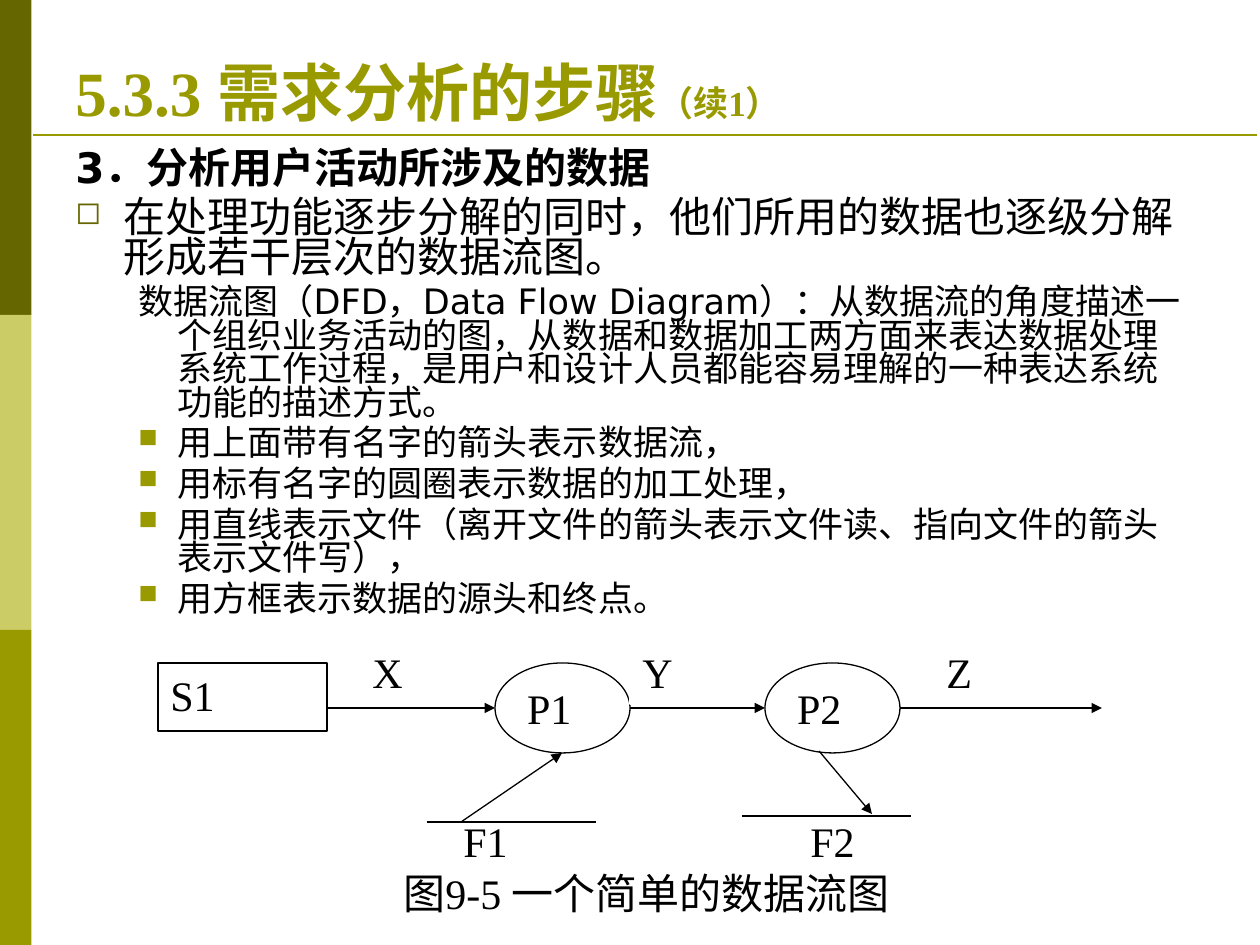
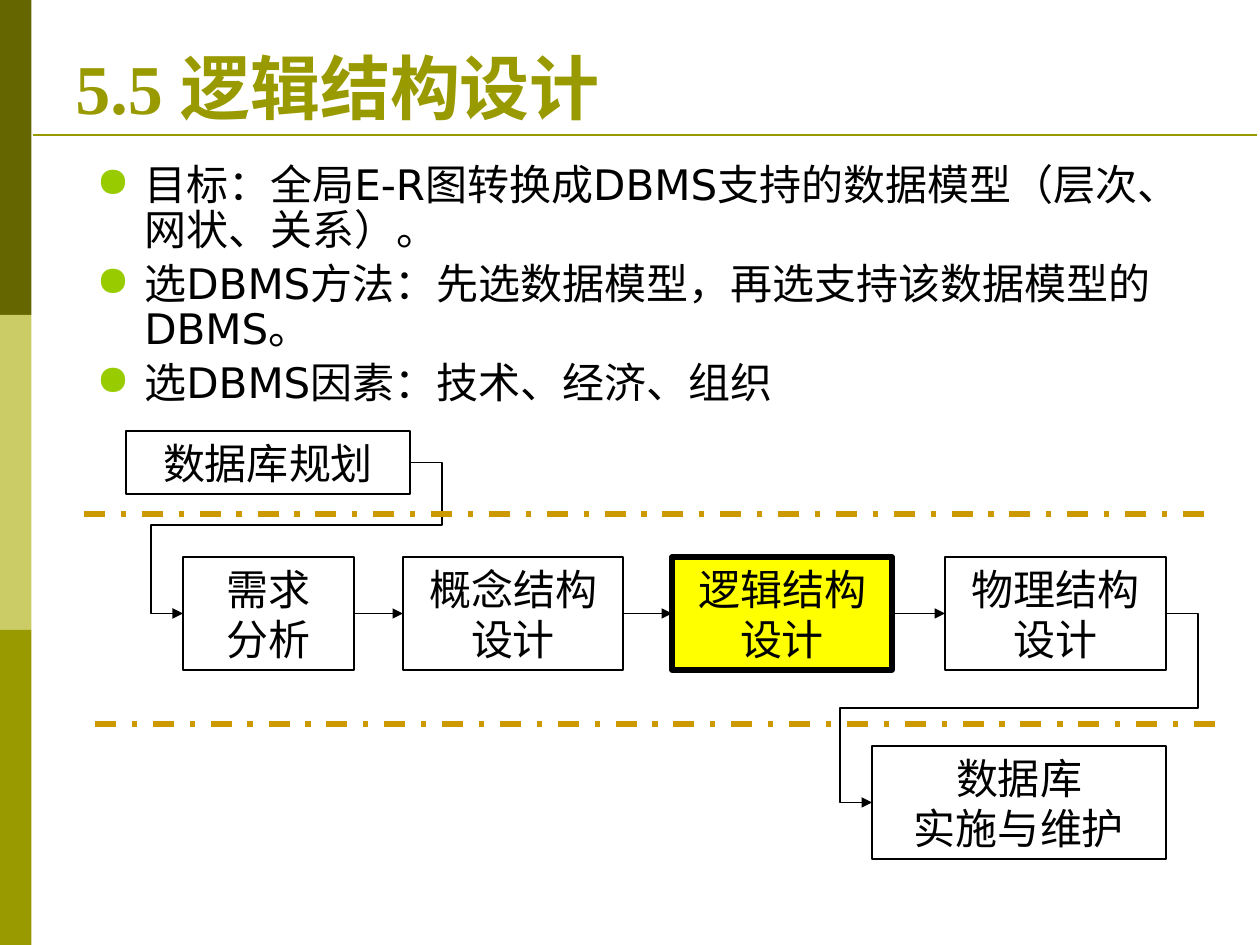
from dataclasses import dataclass

from lxml import etree
from pptx import Presentation
from pptx.dml.color import RGBColor
from pptx.enum import dml, shapes, text
from pptx.oxml import ns
from pptx.util import Emu, Pt

PX = 914400 / 126
SLIDE_SIZE = (1260, 945)


@dataclass(frozen=True)
class Theme:
    serif: str = "Times New Roman"
    sans: str = "DejaVu Sans"
    olive: str = "999900"
    dark_olive: str = "666600"
    pale_olive: str = "CCCC66"
    lime: str = "99CC00"
    ochre: str = "CC9900"
    yellow: str = "FFFF00"
    black: str = "000000"
    white: str = "FFFFFF"
    large: int = 24
    small: int = 20
    thin: float = 0.75
    rule: float = 1.5
    thick: float = 3


THEME = Theme()
BANDS = [THEME.dark_olive, THEME.pale_olive, THEME.olive]
BAND_WIDTH = 31.5
TITLE_BOX = (63, 38, 1134, 97)
TITLE_RULE = ((33, 135), (1257, 135))

STEPS_TITLE = [("5.3.3 需求分析的步骤", 36), ("（续1）", 20)]
STEPS_BOX = (63, 145, 1134, 714)
HEADING = dict(size=THEME.large, spacing=0.8, bold=True)
POINT = dict(size=THEME.large, spacing=0.8, margin=48, hanging=48,
             bullet="◻", bullet_color=THEME.dark_olive, bullet_size=75)
DEFINITION = dict(size=THEME.small, spacing=0.8, margin=102, hanging=39)
SUBPOINT = dict(DEFINITION, bullet="■", bullet_color=THEME.olive, bullet_size=75)
STEPS_BODY = [
    ("3．分析用户活动所涉及的数据", HEADING),
    ("在处理功能逐步分解的同时，他们所用的数据也逐级分解形成若干层次的数据流图。", POINT),
    ("数据流图（DFD，Data Flow Diagram）：从数据流的角度描述一个组织业务活动的图，"
     "从数据和数据加工两方面来表达数据处理系统工作过程，"
     "是用户和设计人员都能容易理解的一种表达系统功能的描述方式。", DEFINITION),
    ("用上面带有名字的箭头表示数据流，", SUBPOINT),
    ("用标有名字的圆圈表示数据的加工处理，", SUBPOINT),
    ("用直线表示文件（离开文件的箭头表示文件读、指向文件的箭头表示文件写），", SUBPOINT),
    ("用方框表示数据的源头和终点。", SUBPOINT),
]

RECTANGLE = shapes.MSO_SHAPE.RECTANGLE
OVAL = shapes.MSO_SHAPE.OVAL
JUSTIFY = text.PP_ALIGN.JUSTIFY
CENTER = text.PP_ALIGN.CENTER
DFD_NODES = [
    ("S1", RECTANGLE, (158, 663, 169, 68)),
    ("P1", OVAL, (495, 663, 135, 90)),
    ("P2", OVAL, (765, 663, 135, 90)),
]
FILE_LINES = [((427, 822), (596, 822)), ((742, 816), (911, 816))]
DATA_FLOWS = [
    ((461, 822), (562, 753)),
    ((327, 708), (495, 708)),
    ((630, 708), (765, 708)),
    ((900, 708), (1102, 708)),
    ((819, 751), (872, 814)),
]
FLOW_LABELS = [
    ("X", (360, 640, 101, 62), THEME.white),
    ("Y", (630, 640, 101, 64), None),
    ("Z", (934, 640, 101, 57), THEME.white),
]
FILE_LABELS = [("F1", (451, 809, 102, 66)), ("F2", (798, 809, 102, 66))]
CAPTION = ("图9-5 一个简单的数据流图", (375, 861, 543, 63))

DESIGN_TITLE = [("5.5 逻辑结构设计", 40)]
DESIGN_BOX = (84, 158, 1134, 315)
GOAL = dict(size=THEME.large, spacing=0.9, margin=48, hanging=48,
            bullet="●", bullet_color=THEME.lime, bullet_size=100)
DESIGN_BODY = [
    ("目标：全局E-R图转换成DBMS支持的数据模型（层次、网状、关系）。", GOAL),
    ("选DBMS方法：先选数据模型，再选支持该数据模型的DBMS。", GOAL),
    ("选DBMS因素：技术、经济、组织", GOAL),
]
PHASES = [
    ("数据库规划", (126, 431, 284, 63)),
    ("需求\n分析", (183, 557, 171, 113)),
    ("概念结构设计", (403, 557, 220, 113)),
    ("逻辑结构设计", (672, 557, 220, 113)),
    ("物理结构设计", (945, 557, 221, 113)),
    ("数据库\n实施与维护", (872, 746, 294, 113)),
]
CURRENT_PHASE = "逻辑结构设计"
TURN_LEVELS = {0: 525, 4: 708}
TURN_LEAD = 32
STAGE_DIVIDERS = [((84, 514), (1207, 514)), ((95, 724), (1218, 724))]


def px(*lengths):
    return [Emu(round(length * PX)) for length in lengths]


def color(value):
    return RGBColor.from_string(value)


def add_xml(parent, tag, **attributes):
    element = etree.SubElement(parent, ns.qn(tag))
    for name, value in attributes.items():
        element.set(name, str(value))
    return element


def style_run(run, size, font=THEME.serif, ink=THEME.black, bold=False):
    run.font.name = font
    run.font.size = Pt(size)
    run.font.bold = bold
    run.font.color.rgb = color(ink)


def set_label(shape, label, align):
    frame = shape.text_frame
    frame.word_wrap = True
    frame.vertical_anchor = text.MSO_ANCHOR.TOP
    frame.text = label
    for paragraph in frame.paragraphs:
        paragraph.alignment = align
        for run in paragraph.runs:
            style_run(run, THEME.large)


def add_box(slide, box, kind=RECTANGLE, fill=THEME.white, line=THEME.black,
            width=THEME.thin):
    shape = slide.shapes.add_shape(kind, *px(*box))
    shape.shadow.inherit = False
    if fill:
        shape.fill.solid()
        shape.fill.fore_color.rgb = color(fill)
    else:
        shape.fill.background()
    if line:
        shape.line.color.rgb = color(line)
        shape.line.width = Pt(width)
    else:
        shape.line.fill.background()
    return shape


def add_line(slide, start, end, ink=THEME.black, width=THEME.thin, arrow=False,
             kind=shapes.MSO_CONNECTOR.STRAIGHT):
    connector = slide.shapes.add_connector(kind, *px(*start, *end))
    connector.line.color.rgb = color(ink)
    connector.line.width = Pt(width)
    if arrow:
        add_xml(connector.line._get_or_add_ln(), "a:tailEnd", type="triangle")
    add_xml(connector._element.spPr, "a:effectLst")
    return connector


def bend(connector, start, end, level):
    lead = TURN_LEAD / abs(end[0] - start[0])
    drop = (level - start[1]) / (end[1] - start[1])
    geometry = connector._element.spPr.find(ns.qn("a:prstGeom"))
    geometry.set("prst", "bentConnector5")
    for guide in list(geometry):
        geometry.remove(guide)
    guides = add_xml(geometry, "a:avLst")
    for number, share in enumerate((-lead, drop, 1 + lead), 1):
        add_xml(guides, "a:gd", name=f"adj{number}", fmla=f"val {round(share * 100000)}")


def format_paragraph(paragraph, size, spacing, margin=0, hanging=0, bold=False,
                     bullet=None, bullet_color=None, bullet_size=100):
    paragraph.line_spacing = spacing
    properties = paragraph._p.get_or_add_pPr()
    left, indent = px(margin, -hanging)
    properties.set("marL", str(left))
    properties.set("indent", str(indent))
    add_xml(add_xml(properties, "a:spcBef"), "a:spcPct", val=20000)
    if bullet:
        add_xml(add_xml(properties, "a:buClr"), "a:srgbClr", val=bullet_color)
        add_xml(properties, "a:buSzPct", val=bullet_size * 1000)
        add_xml(properties, "a:buChar", char=bullet)
    else:
        add_xml(properties, "a:buNone")
    for run in paragraph.runs:
        style_run(run, size, THEME.sans, bold=bold)


def add_body(slide, box, content):
    frame = slide.shapes.add_textbox(*px(*box)).text_frame
    frame.word_wrap = True
    frame.text = "\n".join(line for line, _ in content)
    for paragraph, (_, style) in zip(frame.paragraphs, content):
        format_paragraph(paragraph, **style)


def add_slide(presentation, title):
    slide = presentation.slides.add_slide(presentation.slide_layouts[6])
    height = SLIDE_SIZE[1] / len(BANDS)
    for index, fill in enumerate(BANDS):
        add_box(slide, (0, index * height, BAND_WIDTH, height), fill=fill, line=None)
    add_line(slide, *TITLE_RULE, ink=THEME.olive, width=THEME.rule)
    frame = slide.shapes.add_textbox(*px(*TITLE_BOX)).text_frame
    frame.word_wrap = True
    frame.vertical_anchor = text.MSO_ANCHOR.BOTTOM
    for part, size in title:
        run = frame.paragraphs[0].add_run()
        run.text = part
        style_run(run, size, ink=THEME.olive, bold=True)
    return slide


def build_steps(presentation):
    slide = add_slide(presentation, STEPS_TITLE)
    add_body(slide, STEPS_BOX, STEPS_BODY)
    for label, kind, box in DFD_NODES:
        set_label(add_box(slide, box, kind), label, JUSTIFY)
    for start, end in FILE_LINES:
        add_line(slide, start, end)
    for start, end in DATA_FLOWS:
        add_line(slide, start, end, arrow=True)
    for label, box, fill in FLOW_LABELS:
        set_label(add_box(slide, box, fill=fill, line=THEME.white), label, JUSTIFY)
    for label, box in FILE_LABELS:
        set_label(slide.shapes.add_textbox(*px(*box)), label, JUSTIFY)
    label, box = CAPTION
    set_label(add_box(slide, box, fill=None, line=THEME.white), label, CENTER)


def build_design(presentation):
    slide = add_slide(presentation, DESIGN_TITLE)
    phases = []
    for label, box in PHASES:
        current = label == CURRENT_PHASE
        shape = add_box(slide, box, fill=THEME.yellow if current else THEME.white,
                        width=THEME.thick if current else THEME.thin)
        set_label(shape, label, CENTER)
        phases.append((shape, box))
    for index, (source, target) in enumerate(zip(phases, phases[1:])):
        left, top, width, height = source[1]
        start = (left + width, top + height / 2)
        end = (target[1][0], target[1][1] + target[1][3] / 2)
        turns = index in TURN_LEVELS
        kind = shapes.MSO_CONNECTOR.ELBOW if turns else shapes.MSO_CONNECTOR.STRAIGHT
        connector = add_line(slide, start, end, arrow=True, kind=kind)
        connector.begin_connect(source[0], 3)
        connector.end_connect(target[0], 1)
        if turns:
            bend(connector, start, end, TURN_LEVELS[index])
    for start, end in STAGE_DIVIDERS:
        divider = add_line(slide, start, end, THEME.ochre, THEME.thick)
        divider.line.dash_style = dml.MSO_LINE.DASH_DOT
    add_body(slide, DESIGN_BOX, DESIGN_BODY)


def main():
    presentation = Presentation()
    presentation.slide_width, presentation.slide_height = px(*SLIDE_SIZE)
    build_steps(presentation)
    build_design(presentation)
    presentation.save("out.pptx")


if __name__ == "__main__":
    main()
